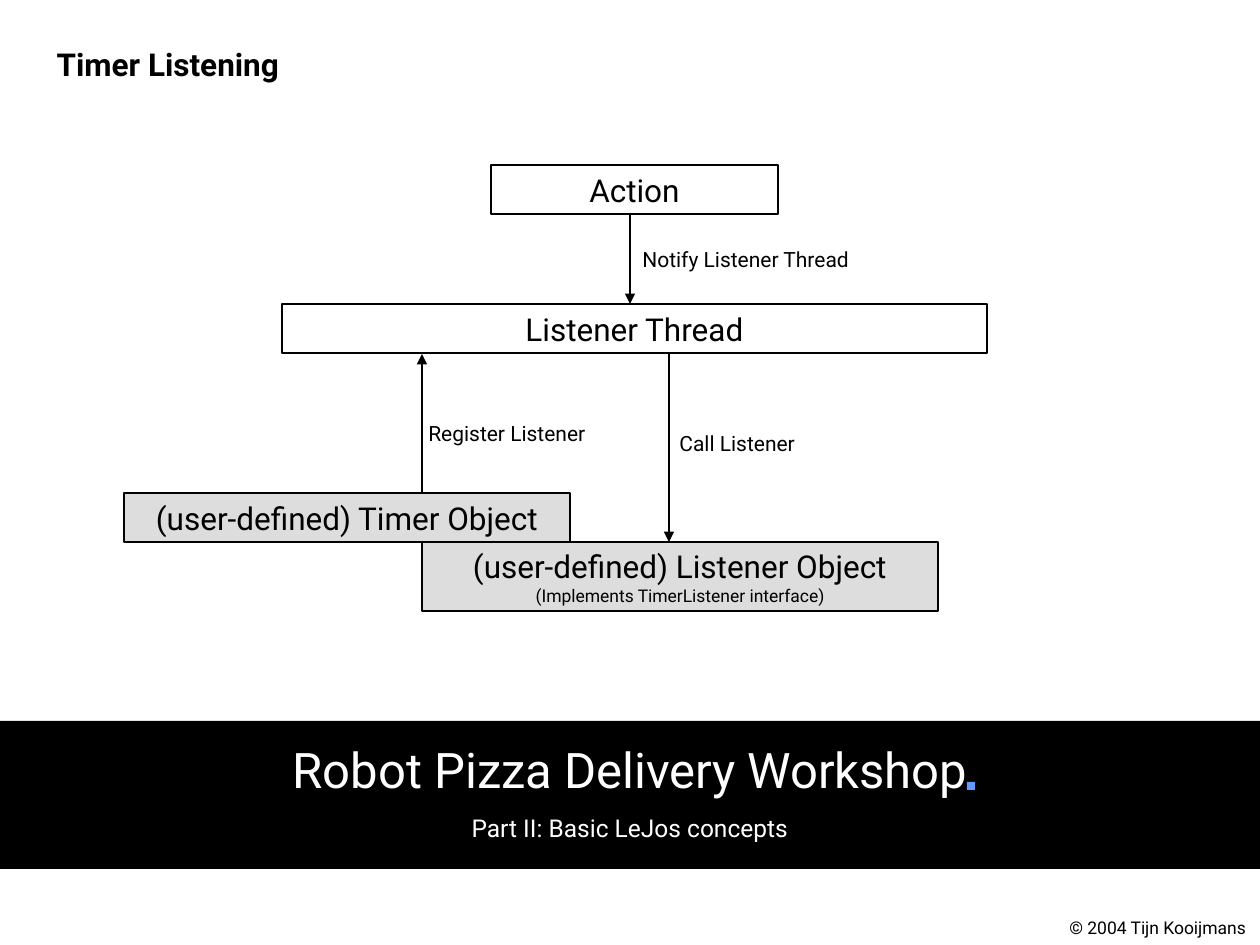
from typing import NamedTuple

from lxml.etree import SubElement
from pptx import Presentation
from pptx.dml.color import RGBColor
from pptx.enum.shapes import MSO_CONNECTOR as Connector, MSO_SHAPE as Preset
from pptx.enum.text import MSO_ANCHOR as Anchor, MSO_AUTO_SIZE as AutoSize, PP_ALIGN as Align
from pptx.oxml.ns import qn
from pptx.util import Emu, Pt

PX_PER_INCH = 126
FONT = "Roboto"
BLACK, WHITE, GREY, BLUE = "000000", "FFFFFF", "DDDDDD", "6699FF"
LINE_WIDTH = Pt(0.75)


class Area(NamedTuple):
    left: int
    top: int
    width: int
    height: int


class Line(NamedTuple):
    text: str
    size: int
    space_before: float = 0


class Block(NamedTuple):
    area: Area
    lines: list[Line]
    fill: str | None = None


class Arrow(NamedTuple):
    x: int
    start: int
    end: int


class Label(NamedTuple):
    area: Area
    line: Line


BLOCKS = [
    Block(Area(282, 304, 705, 49), [Line("Listener Thread", 18)]),
    Block(Area(491, 165, 287, 49), [Line("Action", 18)]),
    Block(Area(124, 493, 446, 49), [Line("(user-defined) Timer Object", 18)], GREY),
    Block(Area(422, 542, 516, 69), [Line("(user-defined) Listener Object", 18),
                                    Line("(Implements TimerListener interface)", 10)], GREY),
]
ARROWS = [Arrow(630, 214, 304), Arrow(422, 493, 354), Arrow(669, 354, 542)]
LABELS = [
    Label(Area(630, 240, 244, 38), Line("Notify Listener Thread", 12)),
    Label(Area(416, 414, 192, 38), Line("Register Listener", 12)),
    Label(Area(667, 424, 146, 38), Line("Call Listener", 12)),
    Label(Area(1057, 911, 208, 34), Line("© 2004 Tijn Kooijmans", 10)),
]


def px(length: int) -> Emu:
    return Emu(round(length * 914400 / PX_PER_INCH))


def place(area: Area) -> list[Emu]:
    return [px(length) for length in area]


def color(value: str) -> RGBColor:
    return RGBColor.from_string(value)


def write(frame, lines: list[Line], align=Align.LEFT, ink: str = BLACK) -> None:
    for index, line in enumerate(lines):
        para = frame.add_paragraph() if index else frame.paragraphs[0]
        para.text = line.text
        para.alignment = align
        if line.space_before:
            para.space_before = Pt(line.space_before)
        para.font.name = FONT
        para.font.size = Pt(line.size)
        para.font.color.rgb = color(ink)


def add_rectangle(slide, area: Area, fill: str | None, outline: str | None = None):
    box = slide.shapes.add_shape(Preset.RECTANGLE, *place(area))
    box.shadow.inherit = False
    if fill:
        box.fill.solid()
        box.fill.fore_color.rgb = color(fill)
    else:
        box.fill.background()
    if outline:
        box.line.color.rgb = color(outline)
        box.line.width = LINE_WIDTH
    else:
        box.line.fill.background()
    return box


def add_block(slide, block: Block) -> None:
    frame = add_rectangle(slide, block.area, block.fill, BLACK).text_frame
    frame.word_wrap = False
    frame.vertical_anchor = Anchor.MIDDLE
    write(frame, block.lines, Align.CENTER)


def add_arrow(slide, arrow: Arrow) -> None:
    x = px(arrow.x)
    connector = slide.shapes.add_connector(
        Connector.STRAIGHT, x, px(arrow.start), x, px(arrow.end))
    connector.line.color.rgb = color(BLACK)
    connector.line.width = LINE_WIDTH
    SubElement(connector.line._get_or_add_ln(), qn("a:tailEnd"), type="triangle")
    SubElement(connector._element.spPr, qn("a:effectLst"))


def add_label(slide, label: Label) -> None:
    frame = slide.shapes.add_textbox(*place(label.area)).text_frame
    frame.word_wrap = False
    write(frame, [label.line])


def add_banner(slide) -> None:
    add_rectangle(slide, Area(0, 721, 1260, 148), BLACK)
    frame = slide.shapes.add_textbox(*place(Area(0, 733, 1260, 116))).text_frame
    frame.word_wrap = True
    write(frame, [Line("Robot Pizza Delivery Workshop", 28),
                  Line("Part II: Basic LeJos concepts", 14, 8.8)], Align.CENTER, WHITE)
    add_rectangle(slide, Area(967, 782, 8, 8), BLUE)


def set_title(slide, text: str) -> None:
    title = slide.shapes.title
    title.left, title.top, title.width, title.height = place(Area(44, 35, 446, 120))
    frame = title.text_frame
    frame.auto_size = AutoSize.NONE
    frame.vertical_anchor = Anchor.TOP
    write(frame, [Line(text, 18)])
    para = frame.paragraphs[0]
    para.line_spacing = 1.1
    para.font.bold = True


def main() -> None:
    deck = Presentation()
    deck.slide_width, deck.slide_height = px(1260), px(945)
    slide = deck.slides.add_slide(deck.slide_layouts[5])
    set_title(slide, "Timer Listening")
    add_banner(slide)
    for block in BLOCKS:
        add_block(slide, block)
    for arrow in ARROWS:
        add_arrow(slide, arrow)
    for label in LABELS:
        add_label(slide, label)
    deck.save("out.pptx")


if __name__ == "__main__":
    main()
